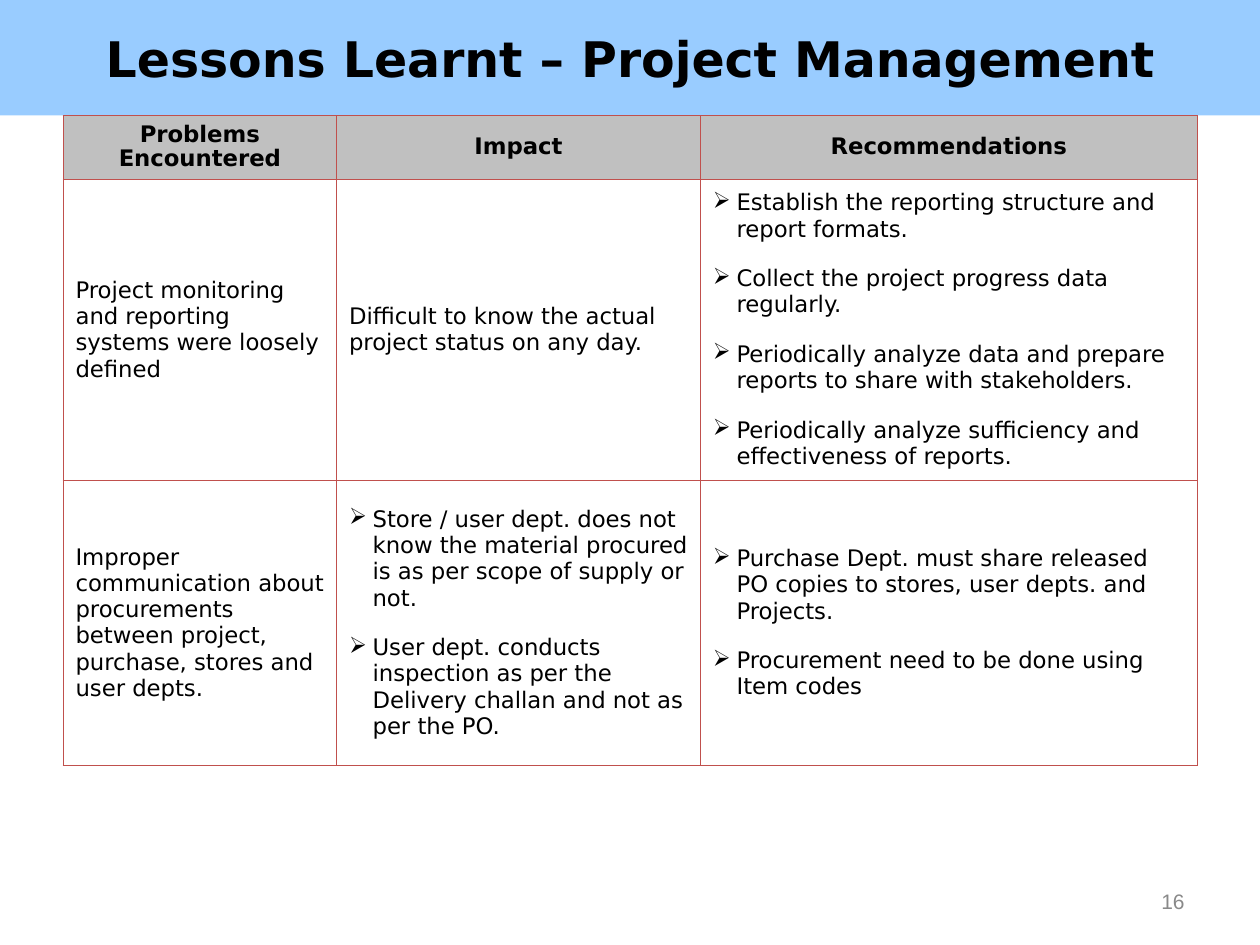
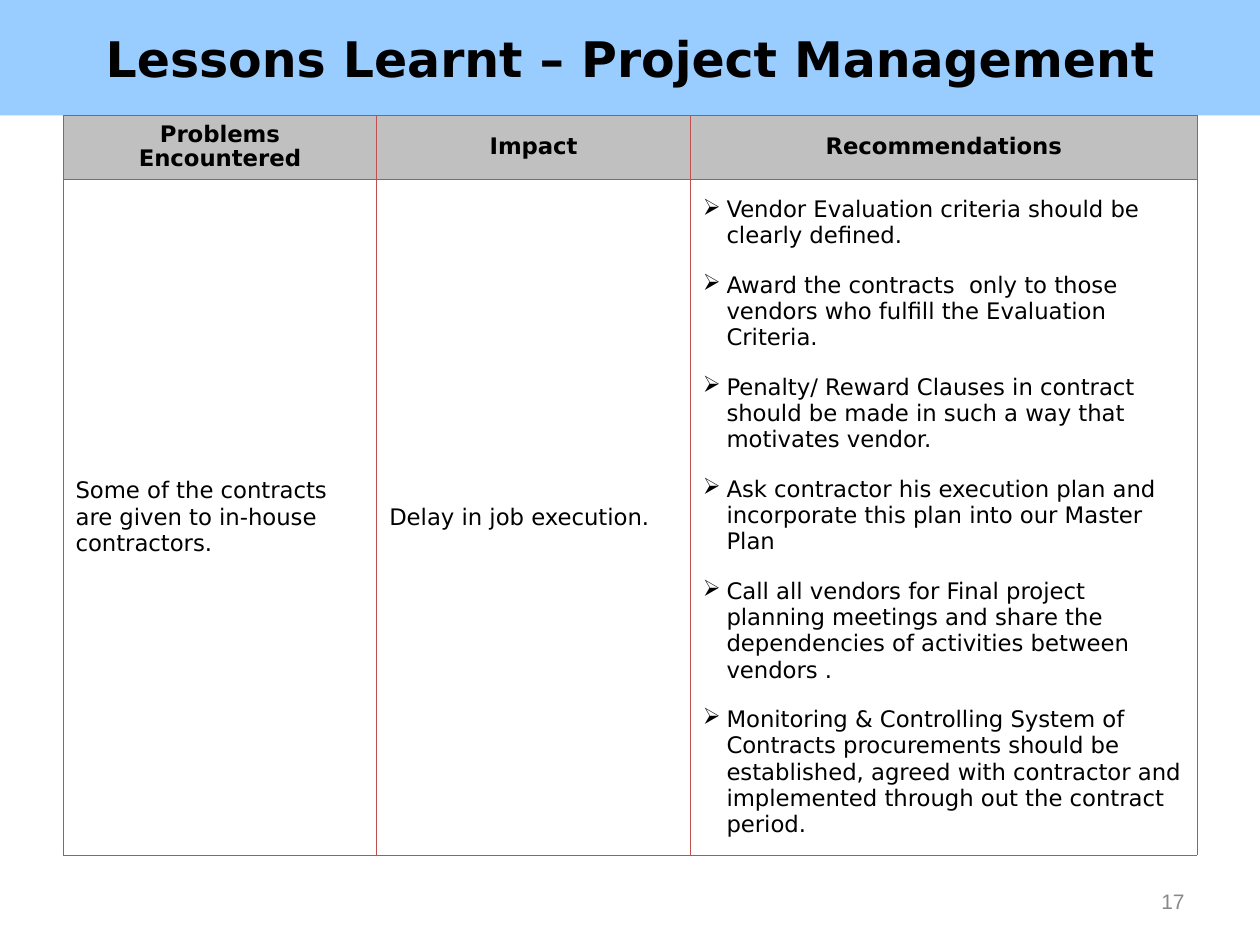
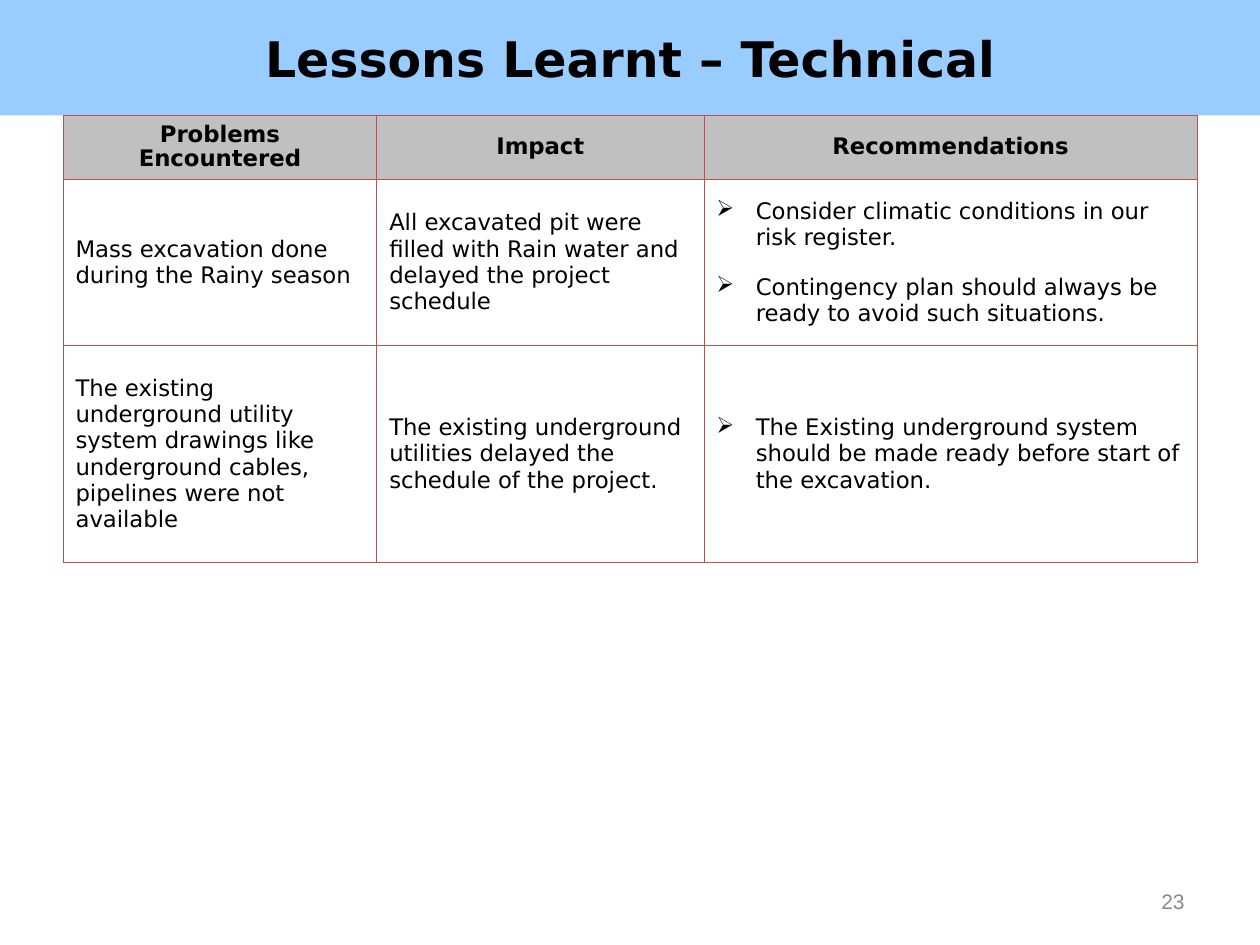
from lxml import etree
from pptx import Presentation
from pptx.dml.color import RGBColor
from pptx.enum import shapes, text
from pptx.oxml.ns import qn
from pptx.util import Pt

HEADERS = ["Problems Encountered", "Impact", "Recommendations"]
LESSONS = [
    {
        "title": "Lessons Learnt – Project Management",
        "number": "16",
        "widths": [156.25, 208],
        "heights": [172, 163],
        "indent": 13.5,
        "rows": [
            [
                "Project monitoring and reporting systems were loosely defined",
                "Difficult to know the actual project status on any day.",
                [
                    "Establish the reporting structure and report formats.",
                    "Collect the project progress data regularly.",
                    "Periodically analyze data and prepare reports to share with stakeholders.",
                    "Periodically analyze sufficiency and effectiveness of reports.",
                ],
            ],
            [
                "Improper communication about procurements between project, purchase, stores and user depts.",
                [
                    "Store / user dept. does not know the material procured is as per scope of supply or not.",
                    "User dept. conducts inspection as per the Delivery challan and not as per the PO.",
                ],
                [
                    "Purchase Dept. must share released PO copies to stores, user depts. and Projects.",
                    "Procurement need to be done using Item codes",
                ],
            ],
        ],
    },
    {
        "title": "Lessons Learnt – Project Management",
        "number": "17",
        "widths": [179.25, 179.25],
        "heights": [384.5],
        "indent": 13.5,
        "rows": [
            [
                "Some of the contracts are given to in-house contractors.",
                "Delay in job execution.",
                [
                    "Vendor Evaluation criteria should be clearly defined.",
                    "Award the contracts  only to those vendors who fulfill the Evaluation Criteria.",
                    "Penalty/ Reward Clauses in contract should be made in such a way that motivates vendor.",
                    "Ask contractor his execution plan and incorporate this plan into our Master Plan",
                    "Call all vendors for Final project planning meetings and share the dependencies of activities between vendors .",
                    "Monitoring & Controlling System of Contracts procurements should be established, agreed with contractor and implemented through out the contract period.",
                ],
            ],
        ],
    },
    {
        "title": "Lessons Learnt – Technical",
        "number": "23",
        "widths": [179.25, 187],
        "heights": [95, 124],
        "indent": 22.5,
        "rows": [
            [
                "Mass excavation done during the Rainy season",
                "All excavated pit were filled with Rain water and delayed the project schedule",
                [
                    "Consider climatic conditions in our risk register.",
                    "Contingency plan should always be ready to avoid such situations.",
                ],
            ],
            [
                "The existing underground utility system drawings like underground cables, pipelines were not available",
                "The existing underground utilities delayed the schedule of the project.",
                ["The Existing underground system should be made ready before start of the excavation."],
            ],
        ],
    },
]

SLIDE_WIDTH, SLIDE_HEIGHT = 720, 540
BAND_HEIGHT = 66
TABLE_LEFT, TABLE_WIDTH, HEADER_HEIGHT = 36, 648, 36.5
NUMBER_AREA = (516, 500.5, 168, 28.75)
BLUE, GREY, RED, BLACK = "99CCFF", "C0C0C0", "C0504D", "000000"
BORDER_WIDTH = 0.45

TITLE_FONT = {"name": "DejaVu Sans", "size": Pt(28), "bold": True, "color": BLACK}
HEADER_FONT = TITLE_FONT | {"size": Pt(13)}
BODY_FONT = HEADER_FONT | {"bold": False}
NUMBER_FONT = {"name": "Arial", "size": Pt(12), "bold": False, "color": "898989"}

CENTRED = {"alignment": text.PP_ALIGN.CENTER}
RIGHT = {"alignment": text.PP_ALIGN.RIGHT}
HEADER_FORMAT = CENTRED | {"line_spacing": 0.93}
BODY_FORMAT = {"alignment": text.PP_ALIGN.LEFT, "space_after": Pt(10)}


def colour(value):
    return RGBColor.from_string(value)


def write(para, words, font, layout):
    for name, value in layout.items():
        setattr(para, name, value)
    span = para.add_run()
    span.text = words
    for name, value in font.items():
        if name == "color":
            span.font.color.rgb = colour(value)
        else:
            setattr(span.font, name, value)


def add_bullet(para, indent):
    properties = para._p.get_or_add_pPr()
    properties.set("marL", str(Pt(indent)))
    properties.set("indent", str(-Pt(indent)))
    tint = etree.SubElement(properties, qn("a:buClr"))
    etree.SubElement(tint, qn("a:srgbClr"), val=BLACK)
    etree.SubElement(properties, qn("a:buChar"), char="➢")


def add_borders(cell):
    properties = cell._tc.get_or_add_tcPr()
    for side in ("lnL", "lnR", "lnT", "lnB"):
        line = etree.SubElement(properties, qn("a:" + side), w=str(Pt(BORDER_WIDTH)))
        fill = etree.SubElement(line, qn("a:solidFill"))
        etree.SubElement(fill, qn("a:srgbClr"), val=RED)


def fill_cell(cell, content, is_header, indent):
    add_borders(cell)
    cell.vertical_anchor = text.MSO_ANCHOR.MIDDLE
    frame = cell.text_frame
    if is_header:
        cell.fill.solid()
        cell.fill.fore_color.rgb = colour(GREY)
        write(frame.paragraphs[0], content, HEADER_FONT, HEADER_FORMAT)
        return
    cell.fill.background()
    bulleted = isinstance(content, list)
    for index, words in enumerate(content if bulleted else [content]):
        para = frame.add_paragraph() if index else frame.paragraphs[0]
        if bulleted:
            add_bullet(para, indent)
        spacing = {"space_before": Pt(3.3 if index else 0)}
        write(para, words, BODY_FONT, BODY_FORMAT | spacing)


def add_band(page, title):
    band = page.shapes.add_shape(
        shapes.MSO_SHAPE.RECTANGLE, 0, 0, Pt(SLIDE_WIDTH), Pt(BAND_HEIGHT)
    )
    band.shadow.inherit = False
    band.fill.solid()
    band.fill.fore_color.rgb = colour(BLUE)
    band.line.fill.background()
    band.text_frame.word_wrap = True
    band.text_frame.vertical_anchor = text.MSO_ANCHOR.MIDDLE
    write(band.text_frame.paragraphs[0], title, TITLE_FONT, CENTRED)


def add_lessons(page, lesson):
    rows = [HEADERS] + lesson["rows"]
    heights = [HEADER_HEIGHT] + lesson["heights"]
    widths = lesson["widths"] + [TABLE_WIDTH - sum(lesson["widths"])]
    area = (TABLE_LEFT, BAND_HEIGHT, TABLE_WIDTH, sum(heights))
    table = page.shapes.add_table(len(rows), len(widths), *map(Pt, area)).table
    table.first_row = table.horz_banding = False
    for column, width in zip(table.columns, widths):
        column.width = Pt(width)
    for index, (row, height) in enumerate(zip(table.rows, heights)):
        row.height = Pt(height)
        for cell, content in zip(row.cells, rows[index]):
            fill_cell(cell, content, index == 0, lesson["indent"])


def add_number(page, number):
    box = page.shapes.add_textbox(*map(Pt, NUMBER_AREA))
    box.text_frame.word_wrap = True
    box.text_frame.vertical_anchor = text.MSO_ANCHOR.MIDDLE
    write(box.text_frame.paragraphs[0], number, NUMBER_FONT, RIGHT)


def main():
    deck = Presentation()
    deck.slide_width, deck.slide_height = Pt(SLIDE_WIDTH), Pt(SLIDE_HEIGHT)
    for lesson in LESSONS:
        page = deck.slides.add_slide(deck.slide_layouts[6])
        add_band(page, lesson["title"])
        add_lessons(page, lesson)
        add_number(page, lesson["number"])
    deck.save("out.pptx")


if __name__ == "__main__":
    main()
